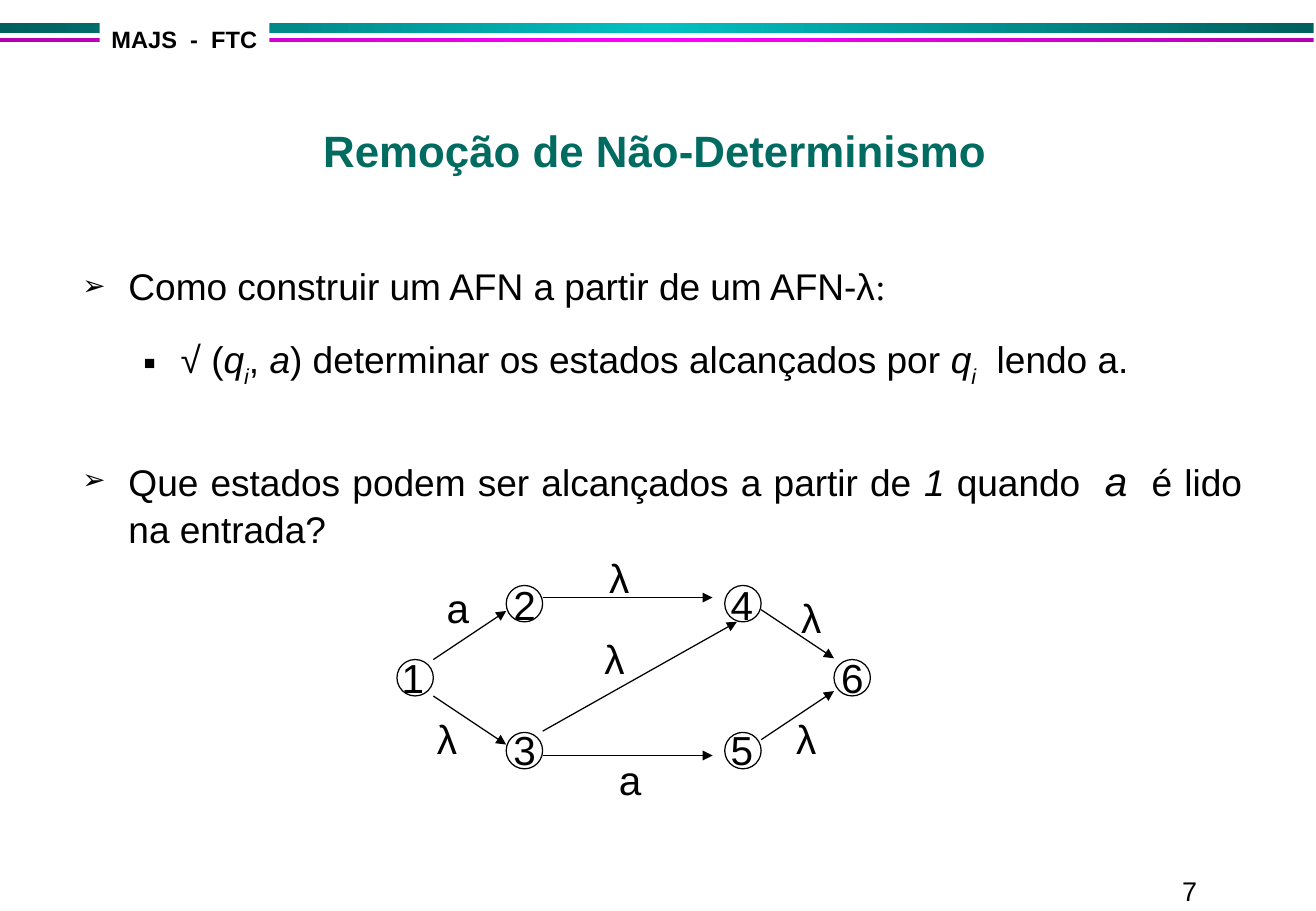
from copy import deepcopy

from lxml import etree
from pptx import Presentation
from pptx import util as u
from pptx.dml.color import RGBColor
from pptx.enum import shapes, text
from pptx.oxml.ns import qn

PX = 9144  # 100 px to the inch
BLACK = RGBColor(0x00, 0x00, 0x00)
WHITE = RGBColor(0xFF, 0xFF, 0xFF)
GREEN = RGBColor(0x00, 0x6B, 0x61)
TEAL_DARK = RGBColor(0x00, 0x5F, 0x5F)
TEAL = RGBColor(0x00, 0xC0, 0xC0)
PURPLE = RGBColor(0xB1, 0x00, 0xB1)
MAGENTA = RGBColor(0xFF, 0x00, 0xFF)

prs = Presentation()
prs.slide_width, prs.slide_height = 1084 * PX, 750 * PX
slide = prs.slides.add_slide(prs.slide_layouts[6])
sps = slide.shapes


def add_run(p, words, **fmt):
    r = p.add_run()
    r.text = words
    r.font.color.rgb = BLACK
    for name, value in {"name": "Arial", "size": u.Pt(22), **fmt}.items():
        setattr(r.font, name, value)
    return r


def add_text(box, words, size, wrap=True):
    sp = sps.add_textbox(*(v * PX for v in box))
    sp.text_frame.word_wrap = wrap
    if words:
        add_run(sp.text_frame.paragraphs[0], words, size=u.Pt(size))
    return sp


# Gradient bars across the top
for top, height, edge, middle in [(19, 8, TEAL_DARK, TEAL), (31, 4, PURPLE, MAGENTA)]:
    sp = sps.add_shape(shapes.MSO_SHAPE.RECTANGLE, 0, top * PX, 1082 * PX, height * PX)
    sp.shadow.inherit = False
    sp.line.fill.background()
    sp.fill.gradient()
    sp.fill.gradient_angle = 0
    stops = sp.fill.gradient_stops
    for stop, colour, position in zip(stops, (edge, middle), (0, 0.5)):
        stop.color.rgb = colour
        stop.position = position
    gs_list = sp._element.spPr.find(qn("a:gradFill")).find(qn("a:gsLst"))
    end_stop = deepcopy(gs_list[0])
    end_stop.set("pos", "100000")
    gs_list.append(end_stop)

# Header tag, page number and title
sp = add_text((82, 16, 140, 33), "MAJS  -  FTC", 14, wrap=False)
sp.fill.solid()
sp.fill.fore_color.rgb = WHITE
sp.text_frame.paragraphs[0].runs[0].font.bold = True

add_text((964, 715, 120, 35), "7", 16, wrap=False)

sp = add_text((79, 81, 921, 69), "Remoção de Não-Determinismo", 26)
sp.text_frame.vertical_anchor = text.MSO_ANCHOR.BOTTOM
p = sp.text_frame.paragraphs[0]
p.alignment = text.PP_ALIGN.CENTER
p.runs[0].font.bold = True
p.runs[0].font.color.rgb = GREEN

# Bulleted body: level, bullet, bullet size, margin, indent, format, runs
ITALIC = {"italic": True}
SUB = {"italic": True, "sub": True}
body = [
    (0, "➢", 75, 38, -38, {},
     [("Como construir um AFN a partir de um AFN-λ", {}),
      (":", {"name": "Times New Roman"})]),
    (1, "▪", 100, 81, -31, {"space_before": u.Pt(17)},
     [("√ (", {}), ("q", ITALIC), ("i", SUB), (", ", {}), ("a", ITALIC),
      (") determinar os estados alcançados por ", {}),
      ("q", ITALIC), ("i", SUB), ("  lendo a.", {})]),
    (0, "➢", 75, 38, -38,
     {"space_before": u.Pt(38), "line_spacing": 1.05,
      "alignment": text.PP_ALIGN.JUSTIFY},
     [("Que estados podem ser alcançados a partir de ", {}), ("1", ITALIC),
      (" quando  ", {}), ("a", {"italic": True, "size": u.Pt(24)}),
      ("  é lido na entrada?", {})]),
]
tf = add_text((58, 212, 975, 447), "", 22).text_frame
for n, (level, bullet, percent, margin, indent, fmt, runs) in enumerate(body):
    p = tf.add_paragraph() if n else tf.paragraphs[0]
    p.level = level
    for name, value in fmt.items():
        setattr(p, name, value)
    pPr = p._p.get_or_add_pPr()
    pPr.set("marL", str(margin * PX))
    pPr.set("indent", str(indent * PX))
    colour = etree.SubElement(pPr, qn("a:buClr"))
    etree.SubElement(colour, qn("a:srgbClr")).set("val", str(BLACK))
    etree.SubElement(pPr, qn("a:buSzPct")).set("val", str(percent * 1000))
    etree.SubElement(pPr, qn("a:buFont")).set("typeface", "Arial")
    etree.SubElement(pPr, qn("a:buChar")).set("char", bullet)
    for words, run_fmt in runs:
        run_fmt = dict(run_fmt)
        sub = run_fmt.pop("sub", False)
        r = add_run(p, words, **run_fmt)
        if sub:
            r.font._element.set("baseline", "-30000")

# Automaton states
for left, top in [(327, 543), (417, 482), (417, 603), (597, 482), (597, 603), (687, 543)]:
    sp = sps.add_shape(shapes.MSO_SHAPE.OVAL, left * PX, top * PX, 30 * PX, 30 * PX)
    sp.shadow.inherit = False
    sp.fill.background()
    sp.line.color.rgb = BLACK
    sp.line.width = u.Pt(0.75)

# Transitions
transitions = [
    (357, 543, 417, 503), (357, 573, 417, 613), (447, 492, 587, 492),
    (447, 602, 607, 512), (447, 622, 587, 622), (627, 502, 687, 542),
    (627, 609, 687, 569),
]
for ends in transitions:
    line = sps.add_connector(shapes.MSO_CONNECTOR.STRAIGHT, *(v * PX for v in ends))
    line.line.color.rgb = BLACK
    line.line.width = u.Pt(0.75)
    etree.SubElement(line.line._get_or_add_ln(), qn("a:tailEnd")).set("type", "triangle")
    etree.SubElement(line._element.spPr, qn("a:effectLst"))

# State numbers and transition symbols
labels = [
    ("1", 321, 533), ("2", 413, 473), ("3", 413, 592),
    ("4", 592, 473), ("5", 592, 592), ("6", 683, 533),
    ("a", 358, 475), ("a", 500, 617), ("λ", 350, 583), ("λ", 488, 517),
    ("λ", 650, 483), ("λ", 492, 450), ("λ", 646, 583),
]
for symbol, left, top in labels:
    add_text((left, top, 37, 50), symbol, 24)

prs.save("out.pptx")
